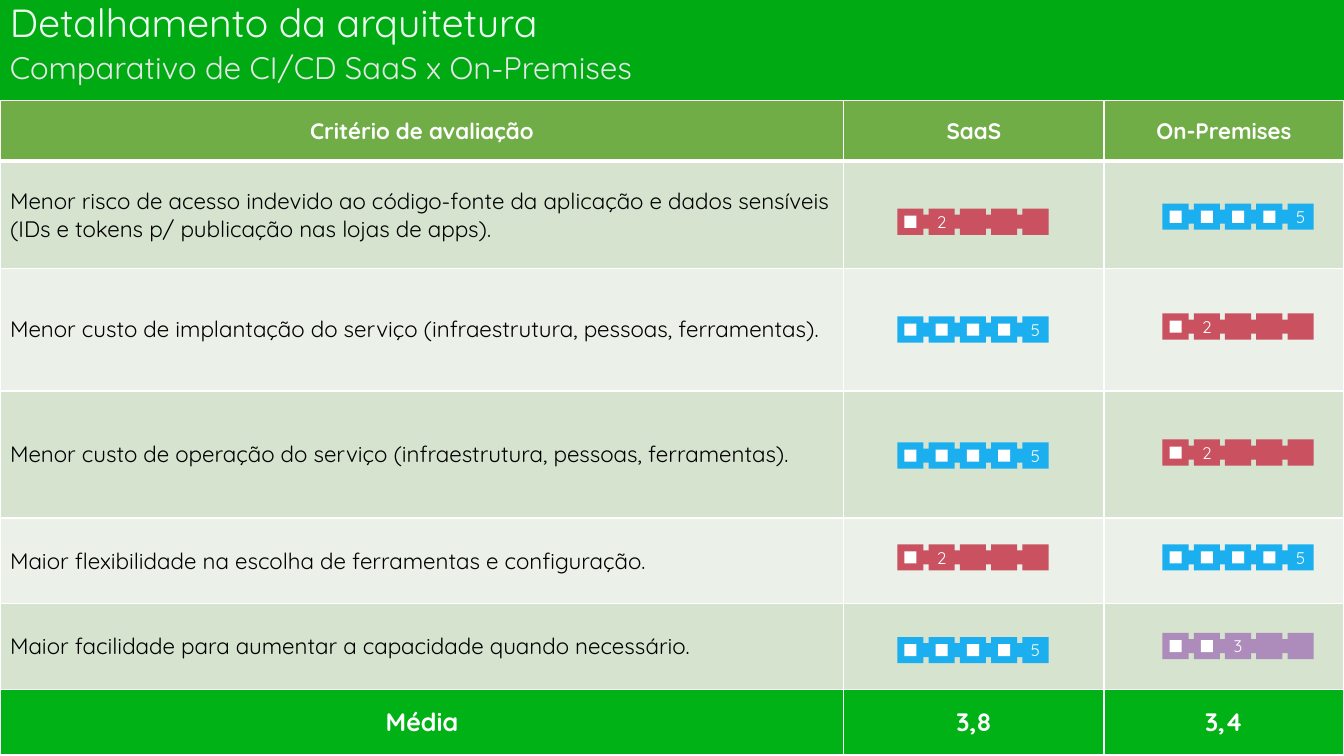
from dataclasses import dataclass

from lxml.etree import SubElement
from pptx import Presentation
from pptx.dml.color import RGBColor
from pptx.enum.shapes import MSO_SHAPE as Preset
from pptx.enum.text import MSO_ANCHOR as Anchor, PP_ALIGN as Align
from pptx.oxml.ns import qn
from pptx.shapes.autoshape import Shape
from pptx.shapes.shapetree import GroupShapes, SlideShapes
from pptx.table import _Cell as Cell
from pptx.text.text import _Paragraph as Paragraph
from pptx.util import Inches, Pt

FONT = "Quicksand"
WHITE = RGBColor(0xFF, 0xFF, 0xFF)
BLACK = RGBColor(0x00, 0x00, 0x00)
BANNER_GREEN = RGBColor(0x00, 0xAA, 0x13)
TITLE_COLOR = RGBColor(0xEF, 0xFF, 0xF1)
SUBTITLE_COLOR = RGBColor(0xE7, 0xE6, 0xE6)
HEADER_GREEN = RGBColor(0x70, 0xAD, 0x47)
AVERAGE_GREEN = RGBColor(0x00, 0xB2, 0x15)
BAND_COLORS = (RGBColor(0xD5, 0xE3, 0xCF), RGBColor(0xEB, 0xF1, 0xE9))
SCORE_COLORS = {
    2: RGBColor(0xC9, 0x51, 0x60),
    3: RGBColor(0xAD, 0x8C, 0xBB),
    5: RGBColor(0x1C, 0xAF, 0xEF),
}

COLUMN_WIDTHS = (8.37, 2.58, 2.38)
HEADER_HEIGHT = 0.6
AVERAGE_HEIGHT = 0.65
MAX_SCORE = 5
BLOCK_SIZE = 0.26
BLOCK_PITCH = 0.31
MARK_SIZE = 0.12
MARK_INSET = 0.07


@dataclass(frozen=True)
class Rating:
    score: int
    top: float


@dataclass(frozen=True)
class Criterion:
    text: str
    height: float
    saas: Rating
    on_premises: Rating


@dataclass(frozen=True)
class Heading:
    text: str
    top: float
    height: float
    size: float
    color: RGBColor
    line_spacing: float
    anchor: Anchor


@dataclass(frozen=True)
class RowStyle:
    fill: RGBColor
    color: RGBColor
    size: float
    bold: bool
    align: Align
    top_border: float = 1
    bottom_border: float = 1


HEADINGS = (
    Heading("Detalhamento da arquitetura", 0, 0.5, 28, TITLE_COLOR, 0.9, Anchor.MIDDLE),
    Heading("Comparativo de CI/CD SaaS x On-Premises", 0.5, 0.4, 22.2,
            SUBTITLE_COLOR, 0.8, Anchor.TOP),
)
SAAS_LEFT = 8.9
ON_PREMISES_LEFT = 11.53
CRITERIA = (
    Criterion("Menor risco de acesso indevido ao código-fonte da aplicação e dados "
              "sensíveis (IDs e tokens p/ publicação nas lojas de apps).",
              1.06, Rating(2, 2.07), Rating(5, 2.02)),
    Criterion("Menor custo de implantação do serviço (infraestrutura, pessoas, ferramentas).",
              1.22, Rating(5, 3.14), Rating(2, 3.11)),
    Criterion("Menor custo de operação do serviço (infraestrutura, pessoas, ferramentas).",
              1.26, Rating(5, 4.39), Rating(2, 4.36)),
    Criterion("Maior flexibilidade na escolha de ferramentas e configuração.",
              0.85, Rating(2, 5.4), Rating(5, 5.4)),
    Criterion("Maior facilidade para aumentar a capacidade quando necessário.",
              0.85, Rating(5, 6.32), Rating(3, 6.28)),
)


def style_paragraph(paragraph: Paragraph, size: float, color: RGBColor,
                    bold: bool = False, align: Align = Align.LEFT) -> None:
    paragraph.alignment = align
    font = paragraph.font
    font.name = FONT
    font.size = Pt(size)
    font.bold = bold
    font.color.rgb = color


def add_rectangle(shapes: SlideShapes | GroupShapes, left: float, top: float,
                  width: float, height: float, color: RGBColor) -> Shape:
    shape = shapes.add_shape(Preset.RECTANGLE, Inches(left), Inches(top),
                             Inches(width), Inches(height))
    shape.shadow.inherit = False
    shape.fill.solid()
    shape.fill.fore_color.rgb = color
    shape.line.fill.background()
    return shape


def add_heading(shapes: SlideShapes, heading: Heading) -> None:
    box = shapes.add_textbox(Inches(0), Inches(heading.top), Inches(10), Inches(heading.height))
    frame = box.text_frame
    frame.word_wrap = True
    frame.vertical_anchor = heading.anchor
    paragraph = frame.paragraphs[0]
    paragraph.text = heading.text
    paragraph.line_spacing = heading.line_spacing
    style_paragraph(paragraph, heading.size, heading.color)


def add_border(cell: Cell, tag: str, width: float) -> None:
    properties = cell._tc.get_or_add_tcPr()
    line = SubElement(properties, qn(tag), w=str(Pt(width)))
    fill = SubElement(line, qn("a:solidFill"))
    SubElement(fill, qn("a:srgbClr"), val=str(WHITE))


def fill_cell(cell: Cell, text: str, style: RowStyle) -> None:
    cell.vertical_anchor = Anchor.MIDDLE
    add_border(cell, "a:lnL", 1)
    add_border(cell, "a:lnR", 1)
    add_border(cell, "a:lnT", style.top_border)
    add_border(cell, "a:lnB", style.bottom_border)
    cell.fill.solid()
    cell.fill.fore_color.rgb = style.fill
    paragraph = cell.text_frame.paragraphs[0]
    paragraph.text = text
    style_paragraph(paragraph, style.size, style.color, style.bold, style.align)


def add_comparison_table(shapes: SlideShapes) -> None:
    header = RowStyle(HEADER_GREEN, WHITE, 16, True, Align.CENTER, bottom_border=3)
    average = RowStyle(AVERAGE_GREEN, WHITE, 18, True, Align.CENTER)
    rows = [(HEADER_HEIGHT, ("Critério de avaliação", "SaaS", "On-Premises"), header)]
    for index, criterion in enumerate(CRITERIA):
        band = RowStyle(BAND_COLORS[index % 2], BLACK, 16, False, Align.LEFT,
                        top_border=1 if index else 3)
        rows.append((criterion.height, (criterion.text, "", ""), band))
    rows.append((AVERAGE_HEIGHT, ("Média", "3,8", "3,4"), average))

    total_height = sum(height for height, _, _ in rows)
    table = shapes.add_table(len(rows), len(COLUMN_WIDTHS), Inches(0), Inches(1),
                             Inches(sum(COLUMN_WIDTHS)), Inches(total_height)).table
    for column, width in zip(table.columns, COLUMN_WIDTHS):
        column.width = Inches(width)
    for row, (height, texts, style) in zip(table.rows, rows):
        row.height = Inches(height)
        for cell, text in zip(row.cells, texts):
            fill_cell(cell, text, style)


def add_rating(shapes: SlideShapes, left: float, rating: Rating) -> None:
    group = shapes.add_group_shape().shapes
    color = SCORE_COLORS[rating.score]
    add_rectangle(group, left + 0.2, rating.top + 0.06, 1.13, 0.14, color)
    for position in range(1, MAX_SCORE + 1):
        block_left = left + (position - 1) * BLOCK_PITCH
        block = add_rectangle(group, block_left, rating.top, BLOCK_SIZE, BLOCK_SIZE, color)
        if position < rating.score:
            add_rectangle(group, block_left + MARK_INSET, rating.top + MARK_INSET,
                          MARK_SIZE, MARK_SIZE, WHITE)
        elif position == rating.score:
            frame = block.text_frame
            frame.margin_left = frame.margin_right = 0
            frame.margin_top = frame.margin_bottom = 0
            frame.vertical_anchor = Anchor.MIDDLE
            paragraph = frame.paragraphs[0]
            paragraph.text = str(rating.score)
            style_paragraph(paragraph, 12, WHITE, align=Align.CENTER)


def main() -> None:
    presentation = Presentation()
    presentation.slide_width = Inches(13.33)
    presentation.slide_height = Inches(7.5)
    slide = presentation.slides.add_slide(presentation.slide_layouts[6])
    add_rectangle(slide.shapes, 0, -0.01, 13.33, 1.03, BANNER_GREEN)
    add_comparison_table(slide.shapes)
    for heading in HEADINGS:
        add_heading(slide.shapes, heading)
    for criterion in CRITERIA:
        add_rating(slide.shapes, SAAS_LEFT, criterion.saas)
        add_rating(slide.shapes, ON_PREMISES_LEFT, criterion.on_premises)
    presentation.save("out.pptx")


if __name__ == "__main__":
    main()
